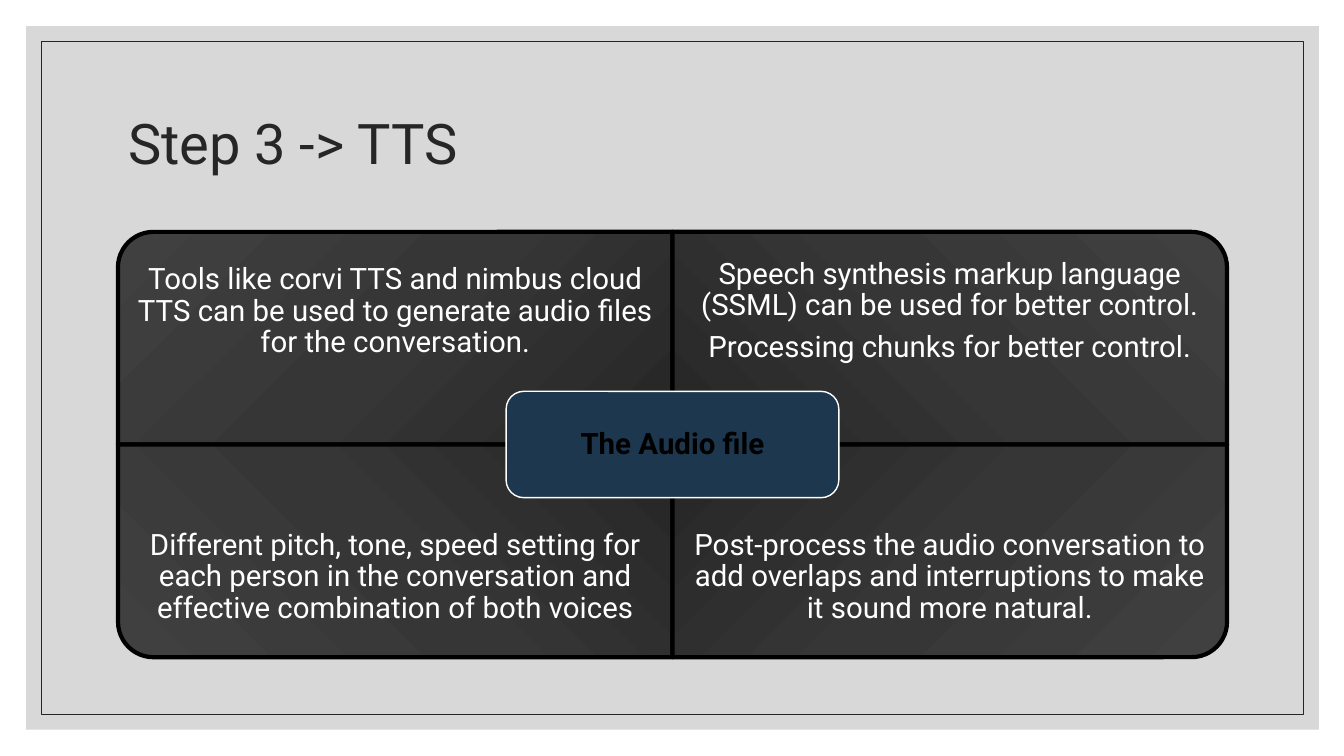
import pptx
import pptx.util
import pptx.dml.color
import pptx.enum.shapes
import pptx.enum.text
import pptx.oxml
import pptx.oxml.ns

Inches = pptx.util.Inches
SHAPES = pptx.enum.shapes.MSO_SHAPE
ALIGN = pptx.enum.text.PP_ALIGN
FONT = "Roboto"
STOPS = [(0, "262626"), (50, "363636"), (100, "404040")]
QUADRANTS = [
    (0, 0, 270, ["Tools like corvi TTS and nimbus cloud TTS can be used to generate "
                 "audio files for the conversation."]),
    (1, 0, 0, ["Speech synthesis markup language (SSML) can be used for better control.",
               "Processing chunks for better control."]),
    (0, 1, 180, ["Different pitch, tone, speed setting for each person in the "
                 "conversation and effective combination of both voices"]),
    (1, 1, 90, ["Post-process the audio conversation to add overlaps and "
                "interruptions to make it sound more natural."]),
]


def color(value):
    return pptx.dml.color.RGBColor.from_string(value)


def add_box(page, kind, left, top, width, height, fill=None, line=None, weight=1):
    box = page.shapes.add_shape(kind, Inches(left), Inches(top), Inches(width), Inches(height))
    box.shadow.inherit = False
    if fill:
        box.fill.solid()
        box.fill.fore_color.rgb = color(fill)
    else:
        box.fill.background()
    if line:
        box.line.color.rgb = color(line)
        box.line.width = pptx.util.Pt(weight)
    else:
        box.line.fill.background()
    return box


def write(box, lines, size, ink, inset, align=ALIGN.CENTER, after=0, bold=False):
    frame = box.text_frame
    frame.text = "\n".join(lines)
    frame.word_wrap = True
    frame.auto_size = pptx.enum.text.MSO_AUTO_SIZE.NONE
    frame.vertical_anchor = pptx.enum.text.MSO_ANCHOR.MIDDLE
    frame.margin_left = frame.margin_right = Inches(inset)
    frame.margin_top = frame.margin_bottom = Inches(inset)
    for para in frame.paragraphs:
        para.alignment = align
        para.line_spacing = 0.9
        para.space_before = pptx.util.Pt(0)
        para.space_after = pptx.util.Pt(after)
        for span in para.runs:
            span.font.name = FONT
            span.font.size = pptx.util.Pt(size)
            span.font.bold = bold
            span.font.color.rgb = color(ink)


def shade_toward(box, column, row):
    left, top = 100000 * (1 - column), 100000 * (1 - row)
    stops = "".join(f'<a:gs pos="{place * 1000}"><a:srgbClr val="{tone}"/></a:gs>'
                    for place, tone in STOPS)
    gradient = pptx.oxml.parse_xml(
        f'<a:gradFill {pptx.oxml.ns.nsdecls("a")} rotWithShape="0"><a:gsLst>{stops}</a:gsLst>'
        f'<a:path path="circle"><a:fillToRect l="{left}" t="{top}" '
        f'r="{100000 - left}" b="{100000 - top}"/></a:path></a:gradFill>')
    properties = box.element.spPr
    properties.replace(properties.find(pptx.oxml.ns.qn("a:noFill")), gradient)


def add_frame(page, width, height):
    panel = add_box(page, SHAPES.RECTANGLE, 0.26, 0.26, width - 0.51, height - 0.52, "BFBFBF")
    tone = panel.element.spPr.find(".//" + pptx.oxml.ns.qn("a:srgbClr"))
    pptx.oxml.ns.qn("a:alpha")
    tone.append(pptx.oxml.parse_xml(f'<a:alpha {pptx.oxml.ns.nsdecls("a")} val="60000"/>'))
    add_box(page, SHAPES.RECTANGLE, 0.41, 0.41, width - 0.81, height - 0.82,
            line="262626", weight=0.5)


def add_title(page, left, top, width, height):
    title = page.shapes.title
    title.left, title.top = Inches(left), Inches(top)
    title.width, title.height = Inches(width), Inches(height)
    write(title, ["Step 3 -> TTS"], 40, "262626", 0.1, ALIGN.LEFT)


def add_matrix(page, left, top, width, height):
    wide, high = width / 2, height / 2
    for column, row, turn, lines in QUADRANTS:
        x, y = left + column * wide, top + row * high
        across, down = (high, wide) if turn % 180 else (wide, high)
        quadrant = add_box(page, SHAPES.ROUND_1_RECTANGLE, x + (wide - across) / 2,
                           y + (high - down) / 2, across, down, line="000000", weight=3)
        quadrant.rotation = turn
        shade_toward(quadrant, column, row)
        label = page.shapes.add_textbox(Inches(x), Inches(y + row * high / 4),
                                        Inches(wide), Inches(high * 0.75))
        write(label, lines, 21, "FFFFFF", 0.16, after=7.35)
    hub_wide, hub_high = wide * 0.6, high / 2
    hub = add_box(page, SHAPES.ROUNDED_RECTANGLE, left + wide - hub_wide / 2,
                  top + high - hub_high / 2, hub_wide, hub_high, "1C374E", "FFFFFF")
    write(hub, ["The Audio file"], 21, "000000", 0.14, after=7.35, bold=True)


def main():
    deck = pptx.Presentation()
    deck.slide_width, deck.slide_height = Inches(13.33), Inches(7.5)
    page = deck.slides.add_slide(deck.slide_layouts[5])
    add_frame(page, 13.33, 7.5)
    add_title(page, 1.17, 0.7, 11, 1.5)
    add_matrix(page, 1.17, 2.3, 11, 4.22)
    title = page.shapes.title.element
    title.getparent().append(title)
    deck.save("out.pptx")


if __name__ == "__main__":
    main()
